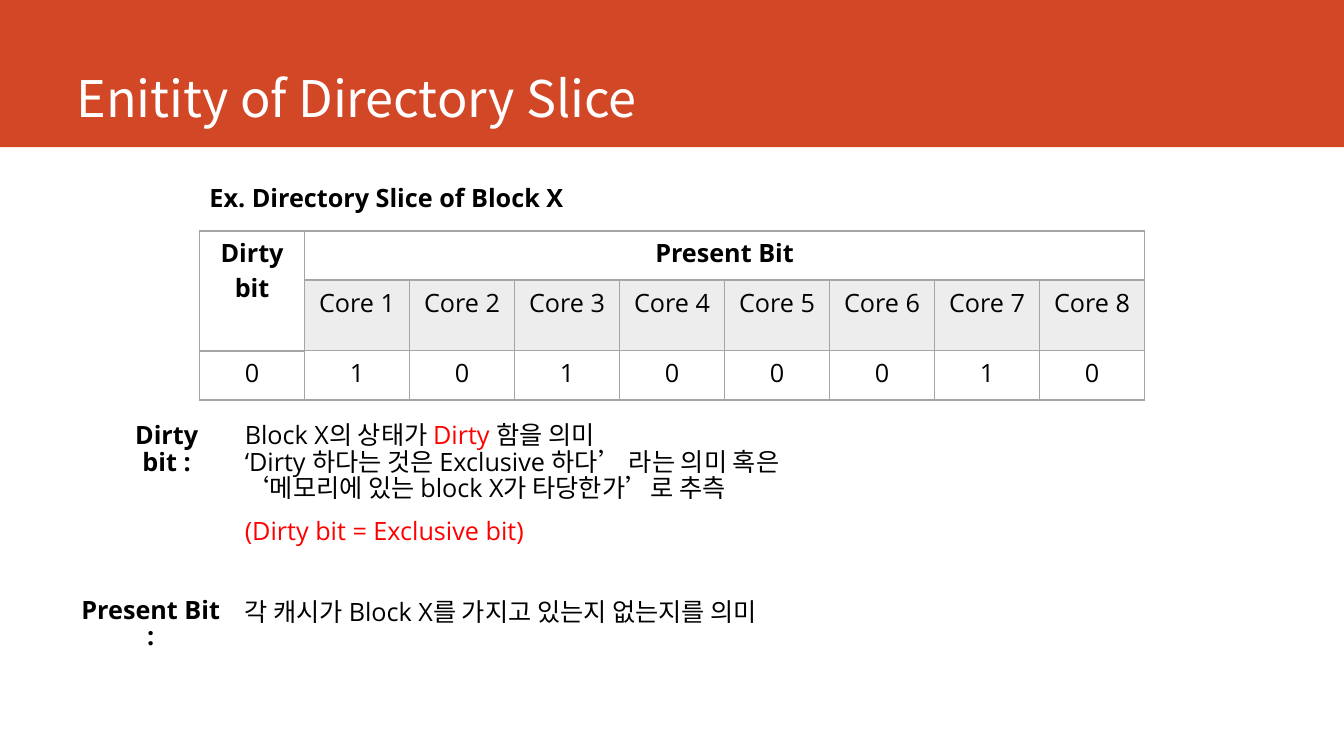
"""Build the slide on the entity of a directory slice."""
from lxml import etree
from pptx import Presentation
from pptx.dml.color import RGBColor
from pptx.enum.shapes import MSO_SHAPE
from pptx.enum.text import MSO_ANCHOR, PP_ALIGN
from pptx.oxml.ns import qn
from pptx.util import Cm, Pt

RECTANGLE = MSO_SHAPE.RECTANGLE
TOP, BOTTOM = MSO_ANCHOR.TOP, MSO_ANCHOR.BOTTOM
LEFT, CENTER = PP_ALIGN.LEFT, PP_ALIGN.CENTER
ORANGE = RGBColor(0xD2, 0x47, 0x26)
WHITE = RGBColor(0xFF, 0xFF, 0xFF)
BLACK = RGBColor(0, 0, 0)
RED = RGBColor(0xFF, 0, 0)
LIGHT_GRAY = RGBColor(0xED, 0xED, 0xED)
BORDER_GRAY = RGBColor(0xA5, 0xA5, 0xA5)
BODY_FONT = "Open Sans"
KOREAN_FONT = "Noto Sans CJK KR"


def write(frame, lines, size=18, font=BODY_FONT, color=BLACK, bold=False,
          align=LEFT, anchor=TOP, spacing=0.88):
    """Fill a text frame; a line is a string or a list of (text, color) pairs."""
    frame.word_wrap = True
    frame.vertical_anchor = anchor
    for index, line in enumerate(lines):
        para = frame.paragraphs[0] if index == 0 else frame.add_paragraph()
        para.alignment = align
        para.line_spacing = spacing
        for text, tint in [(line, color)] if isinstance(line, str) else line:
            span = para.add_run()
            span.text = text
            span.font.size = Pt(size)
            span.font.name = font
            span.font.bold = bold
            span.font.color.rgb = tint
            east_asian = etree.SubElement(span.font._element, qn("a:ea"))
            east_asian.set("typeface", KOREAN_FONT)


def set_borders(cell, bottom_width):
    """Draw gray lines on all four sides of a table cell."""
    properties = cell._tc.get_or_add_tcPr()
    widths = {"a:lnL": 1, "a:lnR": 1, "a:lnT": 1, "a:lnB": bottom_width}
    for position, (side, width) in enumerate(widths.items()):
        line = etree.Element(qn(side), w=str(Pt(width)))
        fill = etree.SubElement(line, qn("a:solidFill"))
        etree.SubElement(fill, qn("a:srgbClr"), val=str(BORDER_GRAY))
        properties.insert(position, line)


deck = Presentation()
deck.slide_width, deck.slide_height = Cm(33.87), Cm(19.05)
page = deck.slides.add_slide(deck.slide_layouts[6])

banner = page.shapes.add_shape(RECTANGLE, 0, 0, deck.slide_width, Cm(3.71))
banner.shadow.inherit = False
banner.fill.solid()
banner.fill.fore_color.rgb = ORANGE
banner.line.fill.background()

title = page.shapes.add_textbox(Cm(1.68), 0, Cm(29.87), Cm(3.35))
write(title.text_frame, ["Enitity of Directory Slice"], size=36,
      font=KOREAN_FONT, color=WHITE, anchor=BOTTOM, spacing=0.9)

rows = [
    ["Dirty bit", "Present Bit"] + [""] * 7,
    [""] + [f"Core {number}" for number in range(1, 9)],
    list("010100010"),
]
table = page.shapes.add_table(3, 9, Cm(5.03), Cm(5.82), Cm(23.82), Cm(3.71)).table
table.cell(0, 0).merge(table.cell(1, 0))
table.cell(0, 1).merge(table.cell(0, 8))
for row_index, values in enumerate(rows):
    table.rows[row_index].height = Cm(1.24)
    for column_index, value in enumerate(values):
        cell = table.cell(row_index, column_index)
        is_core = row_index == 1 and column_index > 0
        cell.fill.solid()
        cell.fill.fore_color.rgb = LIGHT_GRAY if is_core else WHITE
        is_heading = row_index == 0 or (row_index == 1 and column_index == 0)
        set_borders(cell, 2 if is_heading else 1)
        if value:
            write(cell.text_frame, [value], bold=row_index == 0,
                  align=CENTER, spacing=1.0)

labels = [
    ("Ex. Directory Slice of Block X", 5.03, 4.57, 10.9, LEFT),
    ("Dirty bit :", 2.51, 10.54, 3.38, CENTER),
    ("Present Bit :", 1.73, 14.94, 4.14, CENTER),
]
for text, left, top, width, align in labels:
    box = page.shapes.add_textbox(Cm(left), Cm(top), Cm(width), Cm(1.02))
    write(box.text_frame, [text], bold=True, align=align)

dirty_lines = [
    [("Block X의 상태가 ", BLACK), ("Dirty ", RED), ("함을 의미", BLACK)],
    "‘Dirty 하다는 것은 Exclusive 하다’ 라는 의미 혹은",
    "‘메모리에 있는 block X가 타당한가’로 추측",
]
explanations = [
    (dirty_lines, 10.54, 26.19, 2.57, BLACK),
    (["(Dirty bit = Exclusive bit)"], 12.95, 18.77, 1.02, RED),
    (["각 캐시가 Block X를 가지고 있는지 없는지를 의미"], 15.01, 18.77, 1.02, BLACK),
]
for lines, top, width, height, color in explanations:
    box = page.shapes.add_textbox(Cm(5.92), Cm(top), Cm(width), Cm(height))
    write(box.text_frame, lines, color=color)

deck.save("out.pptx")
